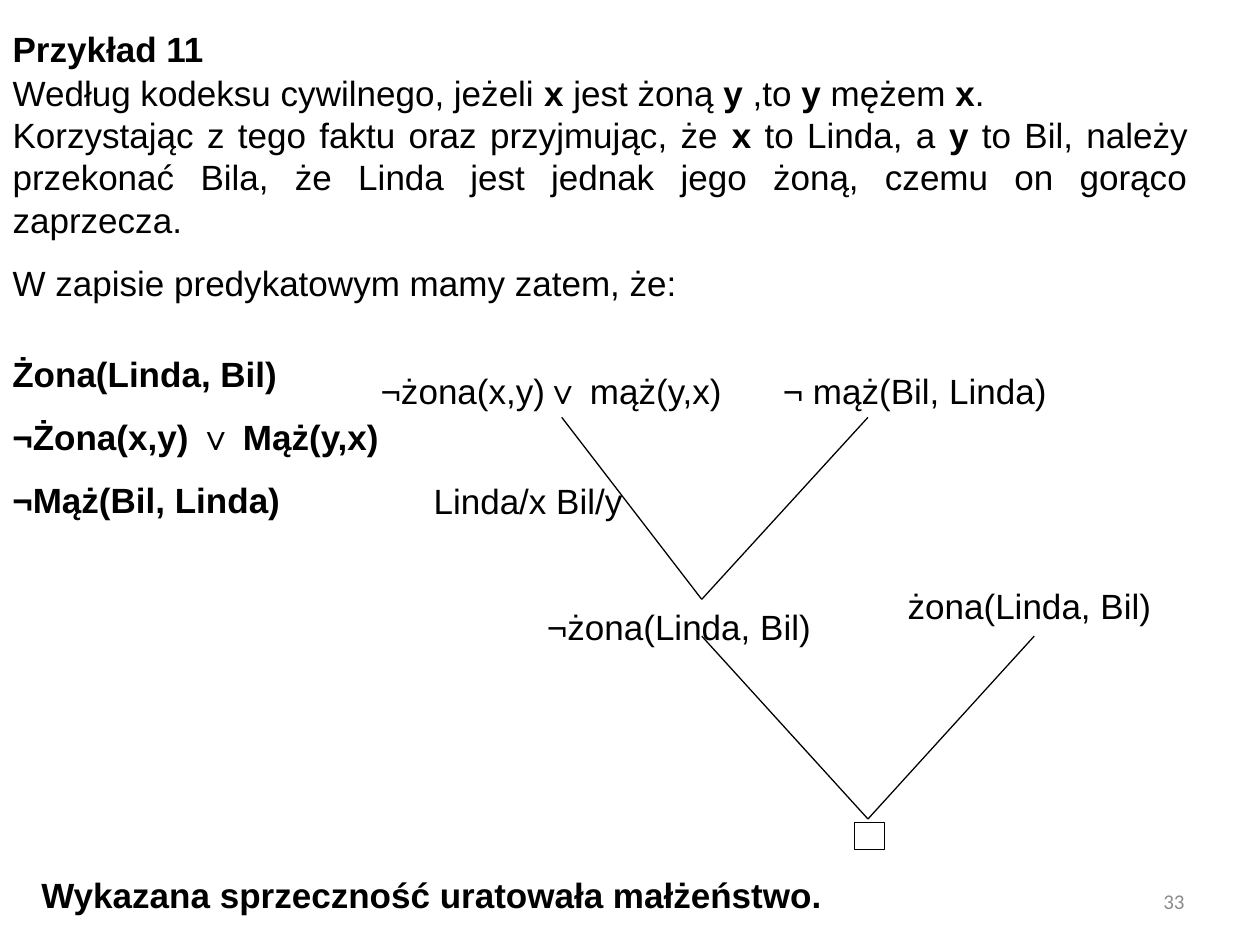
from lxml import etree
from pptx import Presentation
from pptx.dml.color import RGBColor
from pptx.enum.shapes import MSO_CONNECTOR, MSO_SHAPE
from pptx.enum.text import MSO_ANCHOR, MSO_AUTO_SIZE, PP_ALIGN
from pptx.oxml.ns import qn
from pptx.util import Pt

LEFT, CENTER = PP_ALIGN.LEFT, PP_ALIGN.CENTER
RIGHT, JUSTIFY = PP_ALIGN.RIGHT, PP_ALIGN.JUSTIFY
TOP, MIDDLE = MSO_ANCHOR.TOP, MSO_ANCHOR.MIDDLE
NO_FIT = MSO_AUTO_SIZE.NONE
STRAIGHT = MSO_CONNECTOR.STRAIGHT
RECTANGLE = MSO_SHAPE.RECTANGLE
BLACK, WHITE, GRAY = "000000", "FFFFFF", "8C8C8C"

INTRO = [
    "Według kodeksu cywilnego, jeżeli *x* jest żoną *y* ,to *y* mężem *x*.",
    "Korzystając z tego faktu oraz przyjmując, że *x* to Linda, a *y* to Bil, "
    "należy przekonać Bila, że Linda jest jednak jego żoną, czemu on gorąco zaprzecza.",
    "W zapisie predykatowym mamy zatem, że:",
]
CLAUSES = ["*Żona(Linda, Bil)*", "*¬Żona(x,y) ∨ Mąż(y,x)*", "*¬Mąż(Bil, Linda)*"]
TREE_LABELS = [
    ("¬żona(x,y)∨ mąż(y,x)", (206.5, 207.5, 217, 39.5), CENTER),
    ("¬ mąż(Bil, Linda)", (432, 207.5, 181.5, 39.5), CENTER),
    ("Linda/x Bil/y", (230.5, 270.5, 142.5, 42), CENTER),
    ("¬żona(Linda, Bil)", (305.5, 342.5, 174, 42), LEFT),
    ("żona(Linda, Bil)", (507, 330.5, 162.5, 42), CENTER),
]
BRANCHES = [
    ((321, 238.5), (401, 342.5)),
    ((496, 238.5), (401, 342.5)),
    ((401, 363.5), (496, 468)),
    ((591, 363.5), (496, 468)),
]


def color(value):
    return RGBColor.from_string(value)


def place(shape, bounds):
    shape.left, shape.top, shape.width, shape.height = map(Pt, bounds)


def write(shape, texts, align=LEFT, spacings=(1,), anchor=TOP,
          size=20, font="Arial", ink=BLACK):
    frame = shape.text_frame
    frame.auto_size = NO_FIT
    frame.word_wrap = True
    frame.vertical_anchor = anchor
    frame.text = "\n".join(text.replace("*", "") for text in texts)
    for index, (para, text) in enumerate(zip(frame.paragraphs, texts)):
        para.text = ""
        para.alignment = align
        para.line_spacing = spacings[index % len(spacings)]
        para.space_before = para.space_after = Pt(0)
        for part, words in enumerate(text.split("*")):
            if words:
                span = para.add_run()
                span.text = words
                span.font.name = font
                span.font.size = Pt(size)
                span.font.bold = part % 2 == 1
                span.font.color.rgb = color(ink)


def add_text(page, bounds, texts, **style):
    box = page.shapes.add_textbox(*map(Pt, bounds))
    write(box, texts, **style)


def fill_placeholder(shape, bounds, texts, **style):
    place(shape, bounds)
    write(shape, texts, **style)
    for para in shape.text_frame.paragraphs:
        properties = para._p.get_or_add_pPr()
        properties.set("marL", "0")
        properties.set("indent", "0")
        etree.SubElement(properties, qn("a:buNone"))


def add_branch(page, start, end):
    branch = page.shapes.add_connector(STRAIGHT, *map(Pt, start + end))
    branch.line.color.rgb = color(BLACK)
    branch.line.width = Pt(0.75)
    etree.SubElement(branch._element.spPr, qn("a:effectLst"))


def add_empty_clause(page, bounds):
    square = page.shapes.add_shape(RECTANGLE, *map(Pt, bounds))
    square.shadow.inherit = False
    square.fill.solid()
    square.fill.fore_color.rgb = color(WHITE)
    square.line.color.rgb = color(BLACK)
    square.line.width = Pt(0.75)


def main():
    deck = Presentation()
    deck.slide_width, deck.slide_height = Pt(720), Pt(540)
    page = deck.slides.add_slide(deck.slide_layouts[1])
    title, body = page.placeholders
    fill_placeholder(title, (0, 0, 131, 39), ["*Przykład 11*"], spacings=(1.5,))
    fill_placeholder(body, (0, 37.5, 686, 140.5), INTRO,
                     align=JUSTIFY, spacings=(1, 1, 1.5))
    add_text(page, (0, 186, 360, 112.5), CLAUSES, spacings=(1.5,))
    for label, bounds, align in TREE_LABELS:
        add_text(page, bounds, [label], align=align)
    for start, end in BRANCHES:
        add_branch(page, start, end)
    add_empty_clause(page, (488.5, 470, 17, 15.5))
    add_text(page, (16.5, 495.5, 464, 31.5),
             ["*Wykazana sprzeczność uratowała małżeństwo.*"])
    add_text(page, (516, 500.5, 168, 28.5), ["33"], align=RIGHT,
             anchor=MIDDLE, size=12, font="Calibri", ink=GRAY)
    deck.save("out.pptx")


if __name__ == "__main__":
    main()
